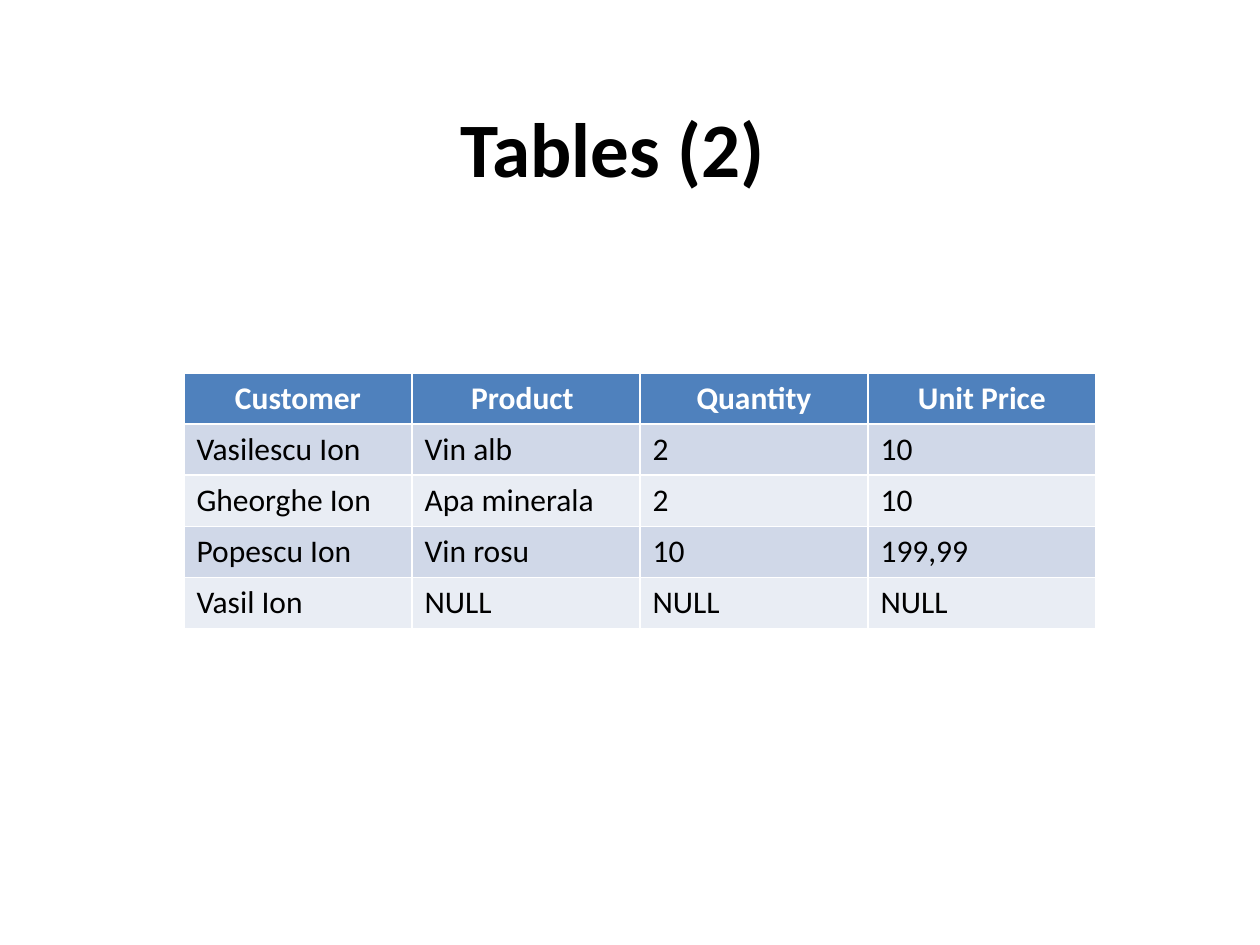
"""Build the "Tables (2)" slide: a title above a table of customer orders."""
import pptx
import pptx.dml.color
import pptx.enum.text
import pptx.util

RGBColor = pptx.dml.color.RGBColor
PP_ALIGN = pptx.enum.text.PP_ALIGN
MSO_ANCHOR = pptx.enum.text.MSO_ANCHOR

TITLE = "Tables (2)"
HEADER = ["Customer", "Product ", "Quantity", "Unit Price"]
ORDERS = [
    ["Vasilescu Ion", "Vin alb", "2", "10"],
    ["Gheorghe Ion", "Apa minerala", "2", "10"],
    ["Popescu Ion", "Vin rosu", "10", "199,99"],
    ["Vasil Ion", "NULL", "NULL", "NULL"],
]

FONT = "Calibri"
BLACK = RGBColor(0x00, 0x00, 0x00)
WHITE = RGBColor(0xFF, 0xFF, 0xFF)
HEADER_BLUE = RGBColor(0x4F, 0x81, 0xBD)
BANDS = [RGBColor(0xD0, 0xD8, 0xE8), RGBColor(0xE9, 0xED, 0xF4)]

SLIDE_W, SLIDE_H = 1260, 945
TITLE_BOX = (253, 106, 714, 82)
TABLE_LEFT, TABLE_TOP = 184, 373
COL_W, ROW_H = 228, 51


def px(n):
    return pptx.util.Emu(round(n * 914400 / 126))


def set_text(tf, text, size=18, color=BLACK, bold=False, align=PP_ALIGN.LEFT):
    p = tf.paragraphs[0]
    p.alignment = align
    r = p.add_run()
    r.text = text
    r.font.name = FONT
    r.font.size = pptx.util.Pt(size)
    r.font.bold = bold
    r.font.color.rgb = color


def add_title(slide):
    sp = slide.shapes.title
    sp.left, sp.top, sp.width, sp.height = map(px, TITLE_BOX)
    sp.fill.solid()
    sp.fill.fore_color.rgb = WHITE
    tf = sp.text_frame
    tf.vertical_anchor = MSO_ANCHOR.MIDDLE
    tf.margin_left = px(5)
    tf.margin_top = tf.margin_right = tf.margin_bottom = 0
    set_text(tf, TITLE, size=44, bold=True, align=PP_ALIGN.CENTER)


def add_orders(slide):
    rows = [HEADER] + ORDERS
    table = slide.shapes.add_table(
        len(rows), len(HEADER), px(TABLE_LEFT), px(TABLE_TOP),
        px(COL_W * len(HEADER)), px(ROW_H * len(rows))).table
    for col in table.columns:
        col.width = px(COL_W)
    for i, row in enumerate(rows):
        table.rows[i].height = px(ROW_H)
        for j, text in enumerate(row):
            cell = table.cell(i, j)
            cell.fill.solid()
            if i == 0:
                cell.fill.fore_color.rgb = HEADER_BLUE
                set_text(cell.text_frame, text, color=WHITE, bold=True,
                         align=PP_ALIGN.CENTER)
            else:
                cell.fill.fore_color.rgb = BANDS[(i - 1) % 2]
                set_text(cell.text_frame, text)


def main():
    prs = pptx.Presentation()
    prs.slide_width, prs.slide_height = px(SLIDE_W), px(SLIDE_H)
    slide = prs.slides.add_slide(prs.slide_layouts[5])
    add_title(slide)
    add_orders(slide)
    prs.save("out.pptx")


if __name__ == "__main__":
    main()
